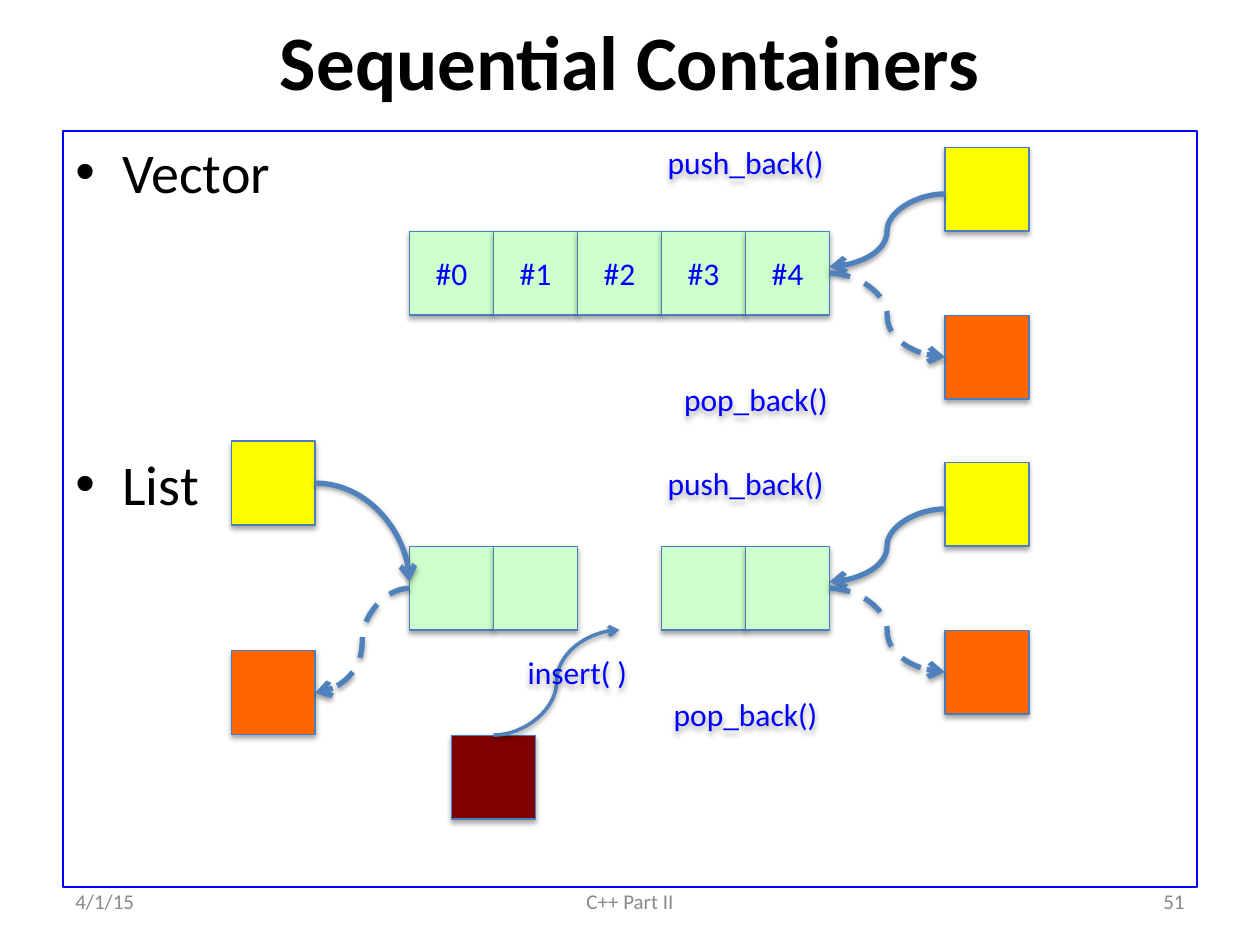
from typing import NamedTuple

from pptx import Presentation
from pptx.dml.color import RGBColor
from pptx.enum.dml import MSO_LINE
from pptx.enum.shapes import MSO_CONNECTOR, MSO_SHAPE
from pptx.enum.text import MSO_ANCHOR, PP_ALIGN
from pptx.oxml import parse_xml
from pptx.oxml.ns import nsdecls, qn
from pptx.util import Cm, Pt

RECTANGLE = MSO_SHAPE.RECTANGLE
CURVE = MSO_CONNECTOR.CURVE
DASH = MSO_LINE.DASH
TOP, MIDDLE = MSO_ANCHOR.TOP, MSO_ANCHOR.MIDDLE
LEFT, CENTER, RIGHT = PP_ALIGN.LEFT, PP_ALIGN.CENTER, PP_ALIGN.RIGHT

BLACK = RGBColor(0x00, 0x00, 0x00)
BLUE = RGBColor(0x00, 0x00, 0xFF)
GRAY = RGBColor(0x89, 0x89, 0x89)
EDGE = RGBColor(0x4B, 0x7E, 0xBC)
ARROW = RGBColor(0x4F, 0x81, 0xBD)
MINT = RGBColor(0xCC, 0xFF, 0xCC)
YELLOW = RGBColor(0xFF, 0xFF, 0x00)
ORANGE = RGBColor(0xFF, 0x66, 0x00)
MAROON = RGBColor(0x80, 0x00, 0x00)

FONT = "Calibri"
CELL = 1.693
ROW_LEFT = 8.255
ROW_RIGHT = ROW_LEFT + 5 * CELL
SIDE_LEFT = 19.05
VECTOR_TOP, LIST_TOP = 4.66, 11.01


class Cell(NamedTuple):
    left: float
    top: float
    color: RGBColor
    text: str = ""


class Arrow(NamedTuple):
    start: tuple[float, float]
    end: tuple[float, float]
    dashed: bool = False
    width: float = 3
    geometry: str = "curvedConnector3"


class Label(NamedTuple):
    text: str
    left: float
    top: float
    width: float = 7.62
    height: float = CELL
    align: PP_ALIGN = CENTER
    size: float = 18
    color: RGBColor = BLUE
    shadowed: bool = True


def cast_shadow(properties, opacity: int, distance: float) -> None:
    properties.append(parse_xml(
        f'<a:effectLst {nsdecls("a")}>'
        f'<a:outerShdw blurRad="{Pt(3.1)}" dist="{Pt(distance)}" dir="5400000" rotWithShape="0">'
        f'<a:srgbClr val="000000"><a:alpha val="{opacity * 1000}"/></a:srgbClr>'
        '</a:outerShdw></a:effectLst>'))


def write(frame, text: str, size: float, color: RGBColor, align=CENTER,
          anchor=MIDDLE, bold: bool = False) -> None:
    frame.text = text
    frame.word_wrap = True
    frame.vertical_anchor = anchor
    for paragraph in frame.paragraphs:
        paragraph.alignment = align
        for run in paragraph.runs:
            run.font.name = FONT
            run.font.size = Pt(size)
            run.font.bold = bold
            run.font.color.rgb = color


def draw_cell(slide, cell: Cell) -> None:
    square = slide.shapes.add_shape(
        RECTANGLE, Cm(cell.left), Cm(cell.top), Cm(CELL), Cm(CELL))
    square.fill.solid()
    square.fill.fore_color.rgb = cell.color
    square.line.color.rgb = EDGE
    square.line.width = Pt(0.75)
    cast_shadow(square._element.spPr, 35, 1.8)
    if cell.text:
        write(square.text_frame, cell.text, 18, BLUE)


def draw_arrow(slide, arrow: Arrow) -> None:
    curve = slide.shapes.add_connector(
        CURVE, *(Cm(value) for value in arrow.start + arrow.end))
    curve.line.color.rgb = ARROW
    curve.line.width = Pt(arrow.width)
    if arrow.dashed:
        curve.line.dash_style = DASH
    properties = curve._element.spPr
    properties.find(qn("a:prstGeom")).set("prst", arrow.geometry)
    properties.find(qn("a:ln")).append(
        parse_xml(f'<a:tailEnd {nsdecls("a")} type="arrow"/>'))
    cast_shadow(properties, 38, 1.6)


def draw_label(slide, label: Label) -> None:
    box = slide.shapes.add_textbox(
        Cm(label.left), Cm(label.top), Cm(label.width), Cm(label.height))
    write(box.text_frame, label.text, label.size, label.color, label.align)
    if label.shadowed:
        cast_shadow(box._element.spPr, 35, 1.8)


def draw_outline(slide) -> None:
    panel = slide.shapes.add_shape(RECTANGLE, Cm(1.27), Cm(2.64), Cm(22.86), Cm(15.24))
    panel.shadow.inherit = False
    panel.fill.background()
    panel.line.color.rgb = BLUE
    panel.line.width = Pt(0.75)
    write(panel.text_frame, "Vector\nList", 32, BLACK, LEFT, TOP)
    for paragraph in panel.text_frame.paragraphs:
        properties = paragraph._p.get_or_add_pPr()
        properties.set("marL", str(Cm(0.95)))
        properties.set("indent", str(-Cm(0.95)))
        properties.append(parse_xml(f'<a:buFont {nsdecls("a")} typeface="Arial"/>'))
        properties.append(parse_xml(f'<a:buChar {nsdecls("a")} char="•"/>'))
    panel.text_frame.paragraphs[-1].space_before = Pt(140)


def main() -> None:
    presentation = Presentation()
    presentation.slide_width, presentation.slide_height = Cm(25.4), Cm(19.05)
    slide = presentation.slides.add_slide(presentation.slide_layouts[5])

    title = slide.shapes.title
    title.left, title.top, title.width, title.height = Cm(1.27), Cm(0), Cm(22.86), Cm(2.41)
    write(title.text_frame, "Sequential Containers", 44, BLACK, bold=True)
    draw_outline(slide)

    cells = [Cell(ROW_LEFT + i * CELL, VECTOR_TOP, MINT, f"#{i}") for i in range(5)]
    cells += [Cell(ROW_LEFT + i * CELL, LIST_TOP, MINT) for i in (0, 1, 3, 4)]
    cells += [
        Cell(4.66, 8.89, YELLOW),
        Cell(4.66, 13.12, ORANGE),
        Cell(9.1, 14.82, MAROON),
    ]
    arrows = [
        Arrow((6.35, 9.74), (ROW_LEFT, 11.73), geometry="curvedConnector2"),
        Arrow((ROW_LEFT, 11.86), (6.35, 13.97), dashed=True),
        Arrow((9.95, 14.82), (12.49, 12.7), width=2),
    ]
    for top in (VECTOR_TOP, LIST_TOP):
        cells += [
            Cell(SIDE_LEFT, top - CELL, YELLOW),
            Cell(SIDE_LEFT, top + CELL, ORANGE),
        ]
        arrows += [
            Arrow((SIDE_LEFT, top - 0.75), (ROW_RIGHT, top + 0.72)),
            Arrow((ROW_RIGHT, top + 0.85), (SIDE_LEFT, top + 2.54), dashed=True),
        ]
    labels = [
        Label("push_back()", 11.22, 2.41),
        Label("pop_back()", 11.43, 7.2),
        Label("push_back()", 11.22, 8.89),
        Label("pop_back()", 11.22, 13.55),
        Label("insert( )", 7.83, 12.7),
    ]
    footers = [
        ("4/1/15", 1.27, 5.93, LEFT),
        ("C++ Part II", 8.68, 8.04, CENTER),
        ("51", 18.2, 5.93, RIGHT),
    ]
    labels += [
        Label(text, left, 17.66, width, 1.01, align, 12, GRAY, False)
        for text, left, width, align in footers
    ]

    for cell in cells:
        draw_cell(slide, cell)
    for arrow in arrows:
        draw_arrow(slide, arrow)
    for label in labels:
        draw_label(slide, label)
    presentation.save("out.pptx")


if __name__ == "__main__":
    main()
